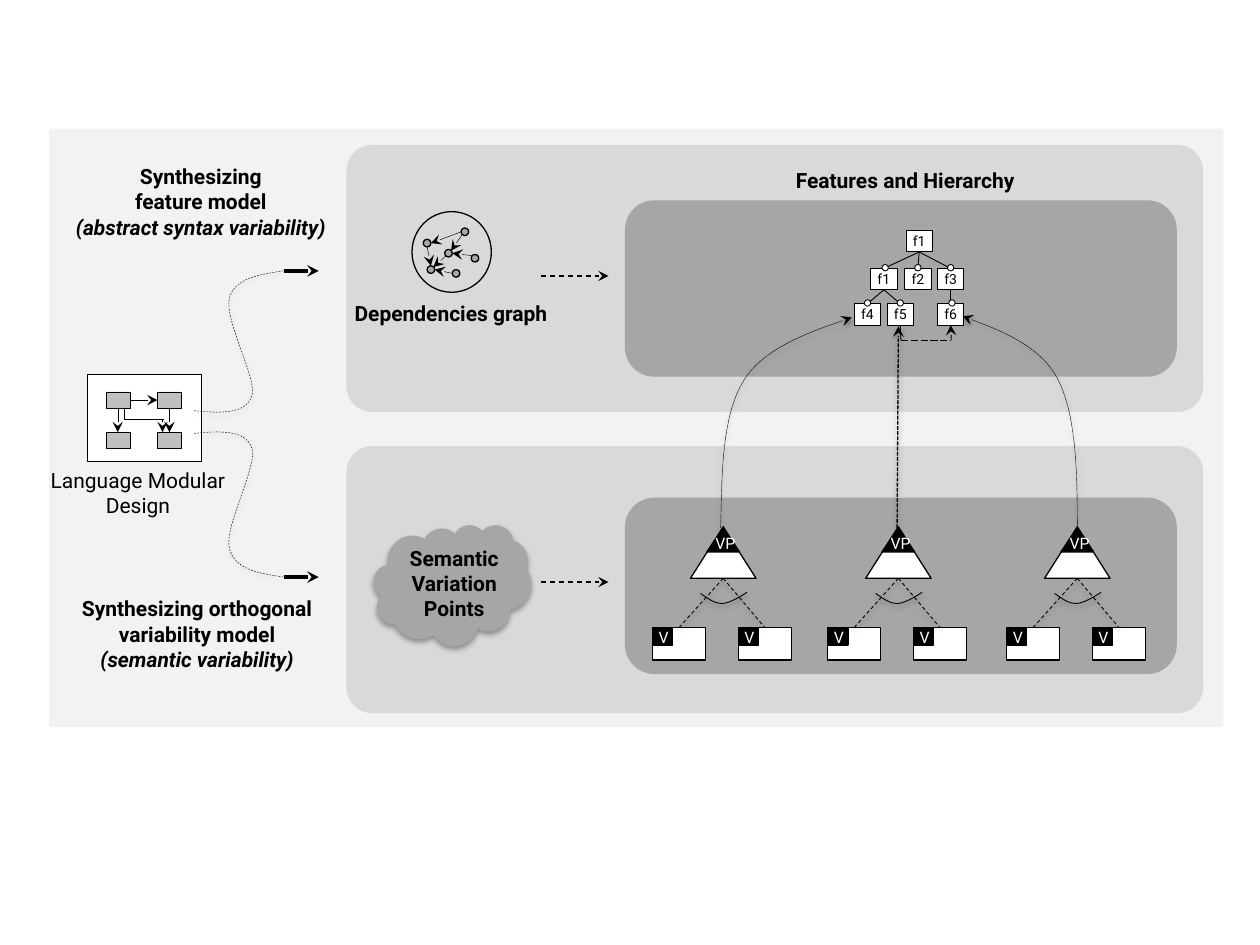
from lxml import etree
from pptx import Presentation
from pptx import util as u
from pptx.dml.color import RGBColor
from pptx.enum import dml, shapes, text
from pptx.oxml import ns

COLORS = {
    "black": "000000", "white": "FFFFFF", "backdrop": "F2F2F2",
    "panel": "D9D9D9", "inner": "A6A6A6", "module": "BFBFBF",
}
FONT = "Roboto"
GEO = shapes.MSO_SHAPE
DASH = dml.MSO_LINE.DASH
LONG_DASH = dml.MSO_LINE.LONG_DASH
SHORT_DASH = dml.MSO_LINE.SQUARE_DOT
TOP, LEFT, BOTTOM, RIGHT = range(4)


def inches(*values):
    return [u.Inches(v) for v in values]


def rgb(name):
    return RGBColor.from_string(COLORS[name])


def add_sub(parent, tag, **attrs):
    return etree.SubElement(parent, ns.qn(tag), **attrs)


def set_effects(sp, alpha=None):
    spPr = sp._element.spPr
    effects = spPr.find(ns.qn("a:effectLst"))
    if effects is None:
        effects = add_sub(spPr, "a:effectLst")
    if alpha:
        shadow = add_sub(effects, "a:outerShdw", blurRad="40000", dist="20000",
                         dir="5400000", rotWithShape="0")
        color = add_sub(shadow, "a:srgbClr", val=COLORS["black"])
        add_sub(color, "a:alpha", val=str(alpha * 1000))


def style_line(sp, width, dash=None, arrow=False, color="black"):
    sp.line.color.rgb = rgb(color)
    sp.line.width = u.Pt(width)
    if dash:
        sp.line.dash_style = dash
    if arrow:
        add_sub(sp._element.spPr.find(ns.qn("a:ln")), "a:tailEnd", type="stealth")


def shape(parent, geo, box, fill=None, width=None, line="black", adj=None, shadow=None):
    sp = parent.add_shape(geo, *inches(*box))
    if adj is not None:
        sp.adjustments[0] = adj
    if fill:
        sp.fill.solid()
        sp.fill.fore_color.rgb = rgb(fill)
    else:
        sp.fill.background()
    if width:
        style_line(sp, width, color=line)
    else:
        sp.line.fill.background()
    sp.shadow.inherit = False
    set_effects(sp, shadow)
    return sp


def write(sp, lines, size, color="black", bold=None, align=text.PP_ALIGN.CENTER, italic_last=False):
    tf = sp.text_frame
    tf.word_wrap = True
    tf.auto_size = text.MSO_AUTO_SIZE.SHAPE_TO_FIT_TEXT
    tf.text = "\n".join(lines)
    for p in tf.paragraphs:
        p.alignment = align
        p.font.name = FONT
        p.font.size = u.Pt(size)
        p.font.bold = bold
        p.font.color.rgb = rgb(color)
    if italic_last:
        tf.paragraphs[-1].font.italic = True


def label(parent, box, lines, size=12, **style):
    write(parent.add_textbox(*inches(*box)), lines, size, **style)


def connect(parent, start, end, width, dash=None, arrow=False, shadow=None,
            begin_at=None, end_at=None):
    c = parent.add_connector(shapes.MSO_CONNECTOR.STRAIGHT, *inches(*start, *end))
    if begin_at:
        c.begin_connect(*begin_at)
    if end_at:
        c.end_connect(*end_at)
    style_line(c, width, dash, arrow)
    set_effects(c, shadow)
    return c


def join(parent, a, a_side, b, b_side, width, arrow=False):
    return connect(parent, (0, 0), (0, 0), width, arrow=arrow,
                   begin_at=(a, a_side), end_at=(b, b_side))


def curve(parent, points, width, dash=None, arrow=False):
    start, *rest = [inches(*pt) for pt in points]
    builder = parent.build_freeform(*start)
    builder.add_line_segments(rest, close=False)
    sp = builder.convert_to_shape()
    segments = list(sp._element.iter(ns.qn("a:lnTo")))
    for i in range(0, len(segments), 3):
        bezier = etree.Element(ns.qn("a:cubicBezTo"))
        segments[i].addprevious(bezier)
        for segment in segments[i:i + 3]:
            bezier.append(segment[0])
            segment.getparent().remove(segment)
    sp.fill.background()
    style_line(sp, width, dash, arrow)
    sp.shadow.inherit = False
    set_effects(sp, 38)


def panels(s):
    shape(s, GEO.ROUNDED_RECTANGLE, (0.39, 1.02, 9.32, 4.75), "backdrop", adj=0)
    for y, inner_y in ((3.54, 3.95), (1.15, 1.59)):
        shape(s, GEO.ROUNDED_RECTANGLE, (2.75, y, 6.8, 2.12), "panel", adj=0.097)
        shape(s, GEO.ROUNDED_RECTANGLE, (4.96, inner_y, 4.38, 1.4), "inner")


def feature(s, name, x, y):
    sp = shape(s, GEO.RECTANGLE, (x, y, 0.21, 0.17), "white", 0.5)
    tf = sp.text_frame
    tf.margin_left = tf.margin_right = u.Inches(0.04)
    tf.margin_top = tf.margin_bottom = u.Inches(0.02)
    write(sp, [name], 8)
    return sp


def feature_tree(s):
    root = feature(s, "f1", 7.19, 1.83)
    f1, f2, f3 = [feature(s, n, x, 2.13) for n, x in (("f1", 6.91), ("f2", 7.18), ("f3", 7.44))]
    f4, f5, f6 = [feature(s, n, x, 2.41) for n, x in (("f4", 6.78), ("f5", 7.04), ("f6", 7.44))]
    for parent, child in ((root, f1), (root, f2), (root, f3), (f1, f4), (f1, f5), (f3, f6)):
        join(s, parent, BOTTOM, child, TOP, 0.5)
    requires = s.add_group_shape().shapes
    connect(requires, (7.15, 2.7), (7.55, 2.7), 0.5, LONG_DASH)
    connect(requires, (7.55, 2.7), (7.55, 2.58), 0.5, LONG_DASH, True, end_at=(f6, BOTTOM))
    connect(requires, (7.15, 2.58), (7.15, 2.7), 0.5, LONG_DASH, begin_at=(f5, BOTTOM))
    for y, xs in ((2.1, (7, 7.26, 7.52)), (2.38, (6.86, 7.12, 7.53))):
        for x in xs:
            shape(s, GEO.OVAL, (x, y, 0.05, 0.05), "white", 0.5)


def modular_design(s):
    label(s, (0.2, 3.66, 1.79, 0.5), ["Language Modular", "Design"])
    shape(s, GEO.RECTANGLE, (0.69, 2.97, 0.91, 0.69), "white", 0.25)
    top_left, top_right, low_left, low_right = [
        shape(s, GEO.RECTANGLE, (x, y, 0.19, 0.13), "module", 0.25)
        for y in (3.11, 3.43) for x in (0.84, 1.25)]
    join(s, top_left, RIGHT, top_right, LEFT, 0.25, True)
    join(s, top_right, BOTTOM, low_right, TOP, 0.25, True)
    join(s, top_left, BOTTOM, low_left, TOP, 0.25, True)
    connect(s, (0.99, 3.24), (0.99, 3.33), 0.25)
    connect(s, (0.99, 3.33), (1.3, 3.33), 0.25)
    connect(s, (1.29, 3.33), (1.29, 3.43), 0.25, arrow=True)


def variant(s, x):
    group = s.add_group_shape().shapes
    box = shape(group, GEO.RECTANGLE, (x, 4.98, 0.42, 0.26), "white", 0.75)
    shape(group, GEO.RECTANGLE, (x, 4.98, 0.16, 0.14), "black", 0.75)
    label(group, (x - 0.05, 4.93, 0.6, 0.25), ["V"], 9, color="white", align=text.PP_ALIGN.LEFT)
    return box


def variation_point(s, x):
    for offset in (-0.3, 0.38):
        box = variant(s, x + offset)
        connect(s, (x + 0.26, 4.59), (x + 0.26, 4.98), 0.5, DASH, shadow=38, end_at=(box, TOP))
    arc = ((0.08, 4.71), (0.14, 4.75), (0.19, 4.79), (0.25, 4.79),
           (0.32, 4.79), (0.45, 4.7), (0.45, 4.7))
    curve(s, [(x + dx, y) for dx, y in arc], 0.5)
    group = s.add_group_shape().shapes
    shape(group, GEO.ISOSCELES_TRIANGLE, (x, 4.18, 0.52, 0.41), "white", 0.75)
    shape(group, GEO.ISOSCELES_TRIANGLE, (x + 0.13, 4.19, 0.26, 0.19), "black", 0.75)
    label(group, (x + 0.1, 4.19, 0.6, 0.25), ["VP"], 9, color="white", align=text.PP_ALIGN.LEFT)


def dependency_graph(s):
    for x, y in ((3.36, 1.9), (3.53, 1.98), (3.39, 2.11), (3.59, 2.14), (3.66, 1.81), (3.74, 2.02)):
        shape(s, GEO.OVAL, (x, y, 0.06, 0.06), "inner", 0.75)
    for start, end in (((3.67, 1.86), (3.58, 1.99)), ((3.39, 1.96), (3.42, 2.11)),
                       ((3.59, 2.17), (3.45, 2.14)), ((3.54, 2.03), (3.44, 2.12)),
                       ((3.66, 1.84), (3.42, 1.93)), ((3.75, 2.03), (3.59, 2.01))):
        connect(s, start, end, 0.25, arrow=True)
    shape(s, GEO.OVAL, (3.27, 1.68, 0.63, 0.64), width=0.75)
    label(s, (2.7, 2.34, 1.76, 0.3), ["Dependencies graph"], bold=True)


def flows(s):
    for y in (2.15, 4.58):
        connect(s, (2.25, y), (2.53, y), 2.25, arrow=True)
    for y in (2.19, 4.62):
        connect(s, (4.29, y), (4.83, y), 0.75, DASH, True)
    curve(s, [(1.54, 3.26), (1.75, 3.28), (1.95, 3.29), (2, 3.14), (2.04, 3), (1.78, 2.54),
              (1.82, 2.37), (1.86, 2.21), (2.05, 2.18), (2.25, 2.15)], 0.25, DASH)
    curve(s, [(1.54, 3.44), (1.75, 3.42), (1.95, 3.41), (2, 3.56), (2.04, 3.71), (1.78, 4.18),
              (1.82, 4.35), (1.86, 4.52), (2.05, 4.55), (2.25, 4.58)], 0.25, DASH)
    connect(s, (7.12, 4.19), (7.13, 2.59), 0.75, SHORT_DASH, True, 38)
    curve(s, [(5.72, 4.19), (5.73, 3.74), (5.73, 3.29), (5.91, 3.01),
              (6.08, 2.74), (6.76, 2.52), (6.76, 2.52)], 0.25, SHORT_DASH, True)
    curve(s, [(8.55, 4.18), (8.55, 3.73), (8.54, 3.28), (8.39, 3),
              (8.24, 2.72), (7.64, 2.51), (7.64, 2.51)], 0.25, SHORT_DASH, True)


def main():
    prs = Presentation()
    prs.slide_width, prs.slide_height = inches(10, 7.5)
    s = prs.slides.add_slide(prs.slide_layouts[6]).shapes
    panels(s)
    feature_tree(s)
    modular_design(s)
    for x in (5.48, 6.87, 8.29):
        variation_point(s, x)
    shape(s, GEO.CLOUD, (2.97, 4.17, 1.24, 0.95), "inner", 0.75, "inner", shadow=35)
    label(s, (5.9, 1.28, 2.57, 0.3), ["Features and Hierarchy"], bold=True)
    label(s, (3.1, 4.28, 1.01, 0.71), ["Semantic Variation Points"], bold=True)
    dependency_graph(s)
    flows(s)
    label(s, (0.48, 1.25, 2.23, 0.71),
          ["Synthesizing", "feature model", "(abstract syntax variability)"],
          bold=True, italic_last=True)
    label(s, (0.45, 4.68, 2.23, 0.71),
          ["Synthesizing orthogonal variability model", "(semantic variability)"],
          bold=True, italic_last=True)
    prs.save("out.pptx")


if __name__ == "__main__":
    main()
